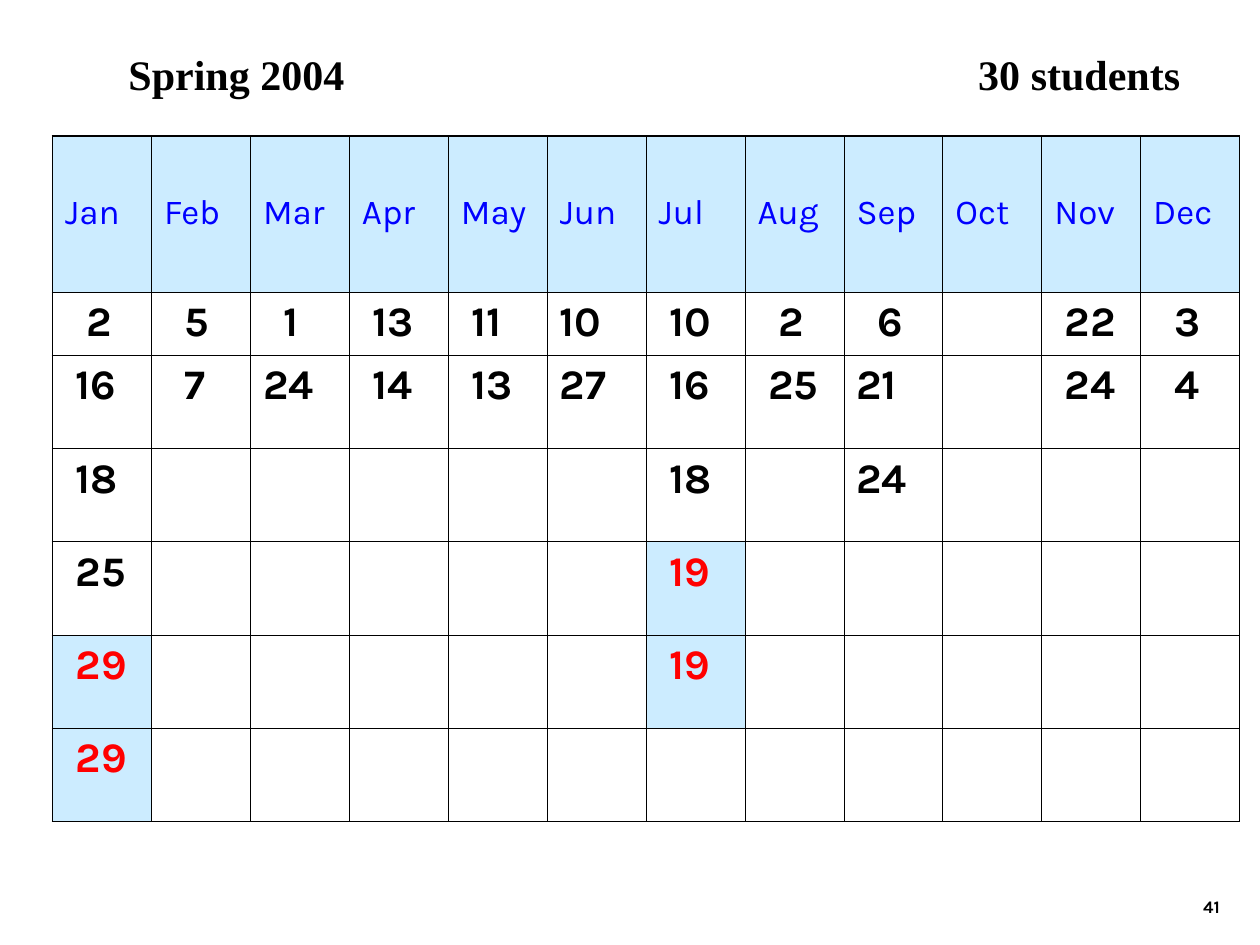
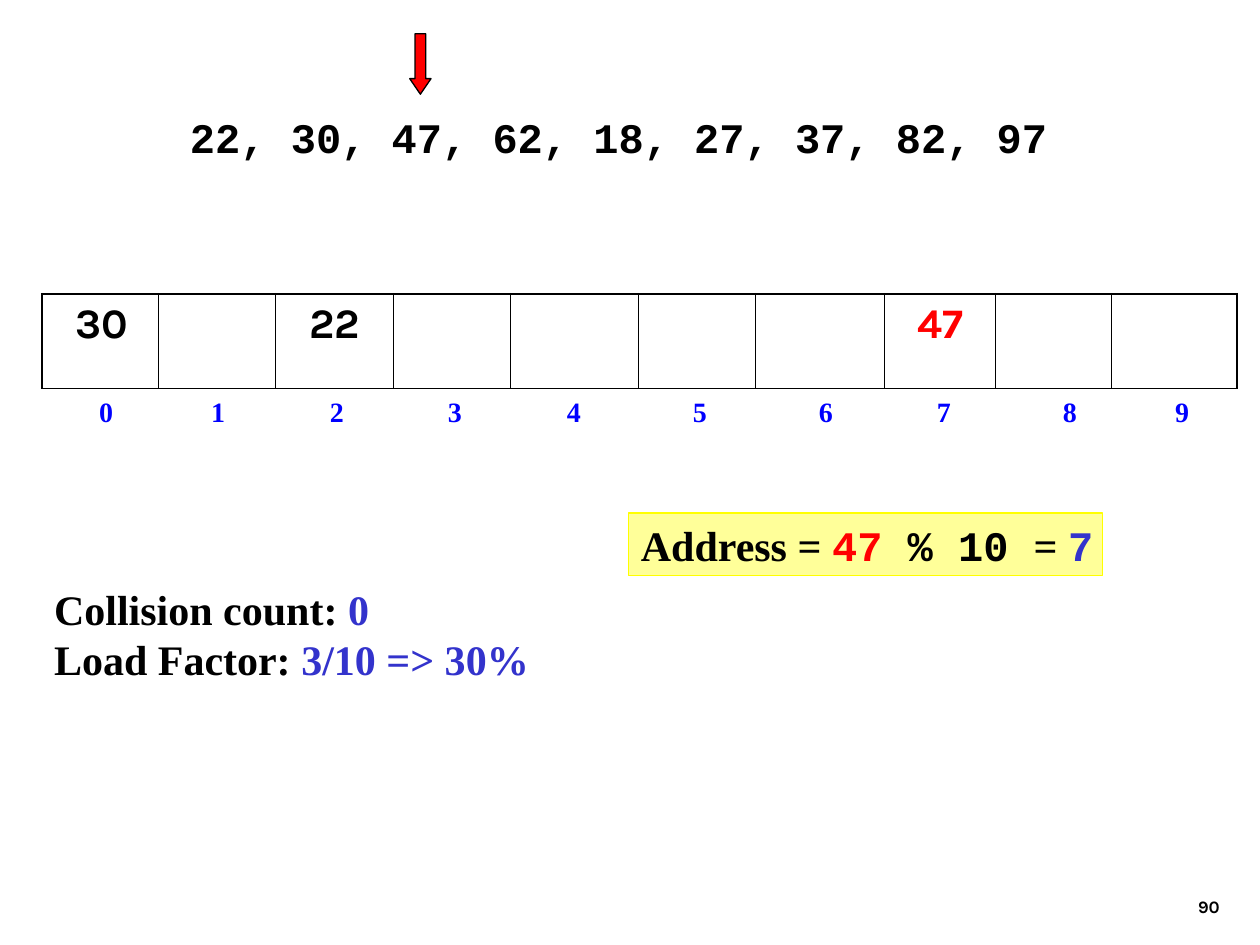
import pptx
import pptx.util
import pptx.dml.color
import pptx.enum.shapes
import pptx.enum.text
import pptx.oxml
import pptx.oxml.ns
from lxml import etree

Cm = pptx.util.Cm
Pt = pptx.util.Pt
RGB = pptx.dml.color.RGBColor
Align = pptx.enum.text.PP_ALIGN
Anchor = pptx.enum.text.MSO_ANCHOR
Shape = pptx.enum.shapes.MSO_SHAPE

BLACK = RGB(0, 0, 0)
WHITE = RGB(255, 255, 255)
RED = RGB(255, 0, 0)
BLUE = RGB(0, 0, 255)
INDIGO = RGB(0x33, 0x33, 0xCC)
SKY = RGB(0xCC, 0xEC, 0xFF)
CREAM = RGB(0xFF, 0xFF, 0x99)
YELLOW = RGB(255, 255, 0)

SANS = "Karla"
SERIF = "Times New Roman"
MONO = "Courier New"

THIN = 0.45
THICK = 1.08
SPACE = 0.21

MONTHS = "Jan Feb Mar Apr May Jun Jul Aug Sep Oct Nov Dec".split()
DAYS = [
    [2, 16, 18, 25, 29, 29], [5, 7], [1, 24], [13, 14], [11, 13], [10, 27],
    [10, 16, 18, 19, 19], [2, 25], [6, 21, 24], [], [22, 24], [3, 4],
]
SHARED = {(0, 29), (6, 19)}


def write(para, text, font=SERIF, size=24, color=BLACK, bold=True):
    run = para.add_run()
    run.text = text
    run.font.name = font
    run.font.size = Pt(size)
    run.font.color.rgb = color
    run.font.bold = bold


def indent(para, left):
    para._p.get_or_add_pPr().set("marL", str(Cm(left)))


def stops(para, places, align):
    props = para._p.get_or_add_pPr()
    tabs = etree.SubElement(props, pptx.oxml.ns.qn("a:tabLst"))
    for place in places:
        tab = etree.SubElement(tabs, pptx.oxml.ns.qn("a:tab"))
        tab.set("pos", str(Cm(place)))
        tab.set("algn", align)


def setup(frame, wrap=True, anchor=Anchor.TOP):
    frame.word_wrap = wrap
    frame.auto_size = pptx.enum.text.MSO_AUTO_SIZE.NONE
    frame.vertical_anchor = anchor
    frame.margin_left = frame.margin_right = Cm(0.25)
    frame.margin_top = frame.margin_bottom = Cm(0.13)
    para = frame.paragraphs[0]
    para.alignment = Align.LEFT
    return para


def label(slide, box, **style):
    return setup(slide.shapes.add_textbox(*map(Cm, box)).text_frame, **style)


def title(slide, box):
    head = slide.shapes.title
    head.left, head.top, head.width, head.height = map(Cm, box)
    return setup(head.text_frame)


def number(slide, text):
    para = label(slide, (19.56, 17.35, 5.28, 1.27), anchor=Anchor.BOTTOM)
    para.alignment = Align.RIGHT
    write(para, text, font=SANS, size=10)


def shape(slide, kind, box, fill, line):
    item = slide.shapes.add_shape(kind, *map(Cm, box))
    item.shadow.inherit = False
    item.fill.solid()
    item.fill.fore_color.rgb = fill
    item.line.color.rgb = line
    item.line.width = Pt(0.75)
    return item


def border(cell, outer):
    props = cell._tc.get_or_add_tcPr()
    for side in "LRTB":
        width = Pt(THICK if side in outer else THIN)
        props.append(pptx.oxml.parse_xml(
            f'<a:ln{side} {pptx.oxml.ns.nsdecls("a")} w="{width}"><a:solidFill>'
            f'<a:srgbClr val="{BLACK}"/></a:solidFill></a:ln{side}>'))


def paint(cell, color):
    cell.fill.solid()
    cell.fill.fore_color.rgb = color


def grid(slide, left, top, cols, rows):
    frame = slide.shapes.add_table(len(rows), len(cols), Cm(left), Cm(top),
                                   Cm(sum(cols)), Cm(sum(rows)))
    table = frame.table
    table.first_row = table.horz_banding = False
    for col, width in zip(table.columns, cols):
        col.width = Cm(width)
    for row, height in zip(table.rows, rows):
        row.height = Cm(height)
    for r in range(len(rows)):
        for c in range(len(cols)):
            outer = {"L": c == 0, "R": c == len(cols) - 1,
                     "T": r == 0, "B": r == len(rows) - 1}
            cell = table.cell(r, c)
            border(cell, [side for side, edge in outer.items() if edge])
            paint(cell, WHITE)
    return table


def calendar(slide, left, top, width):
    cols = [width / len(MONTHS)] * len(MONTHS)
    table = grid(slide, left, top, cols, [3.15, 1.27] + [1.88] * 5)
    for c, (month, days) in enumerate(zip(MONTHS, DAYS)):
        head = table.cell(0, c)
        head.margin_top = Cm(1.13)
        paint(head, SKY)
        write(head.text_frame.paragraphs[0], month, font=SANS, size=20,
              color=BLUE, bold=False)
        for r, day in enumerate(days, 1):
            cell = table.cell(r, c)
            para = cell.text_frame.paragraphs[0]
            wide = 0 if c % 3 == 2 else 1
            indent(para, SPACE * (2 if day < 10 else wide))
            shared = (c, day) in SHARED
            if shared:
                paint(cell, SKY)
            write(para, str(day), font=SANS, color=RED if shared else BLACK)


def buckets(slide, left, top):
    cols = [2.36] * 4 + [2.59, 2.36, 2.59, 2.24, 2.34, 2.54]
    table = grid(slide, left, top, cols, [1.91])
    for c, key, color in [(0, "30", BLACK), (2, "22", BLACK), (7, "47", RED)]:
        para = table.cell(0, c).text_frame.paragraphs[0]
        indent(para, 2 * SPACE)
        write(para, key, font=SANS, color=color)
    para = label(slide, (left - 0.2, top + 1.9, 24.33, 1.63))
    stops(para, [1.25, 3.51, 5.9, 8.28, 10.68, 13.22, 15.76, 18.14, 20.68, 22.94],
          "ctr")
    write(para, "".join(f"\t{i}" for i in range(len(cols))), size=16, color=BLUE)


def stats(slide, box):
    para = label(slide, box, wrap=False)
    write(para, "Collision count: ")
    write(para, "0", color=INDIGO)
    para = slide.shapes[-1].text_frame.add_paragraph()
    para.alignment = Align.LEFT
    write(para, "Load Factor: ")
    write(para, "3/10 => 30%", color=INDIGO)


def address(slide, box):
    note = shape(slide, Shape.RECTANGLE, box, CREAM, YELLOW)
    para = setup(note.text_frame, wrap=False)
    write(para, "Address = ")
    write(para, "47", font=MONO, color=RED)
    write(para, " % 10 ", font=MONO)
    write(para, "= ")
    write(para, "7", font=MONO, color=INDIGO)


def birthdays(slide):
    para = title(slide, (2.34, 0.84, 21.79, 1.27))
    stops(para, [21.2], "r")
    write(para, "Spring 2004\t30 students")
    calendar(slide, 1.06, 2.74, 23.93)
    number(slide, "41")


def hashing(slide):
    write(title(slide, (3.58, 2.11, 17.78, 1.27)),
          "22, 30, 47, 62, 18, 27, 37, 82, 97", font=MONO)
    arrow = shape(slide, Shape.DOWN_ARROW, (8.26, 0.68, 0.43, 1.22), RED, BLACK)
    arrow.adjustments[0] = 0.5
    arrow.adjustments[1] = 0.73
    buckets(slide, 0.84, 5.92)
    stats(slide, (0.84, 11.63, 10.08, 2.29))
    address(slide, (12.67, 10.34, 9.55, 1.27))
    number(slide, "90")


def main():
    deck = pptx.Presentation()
    deck.slide_width, deck.slide_height = Cm(25.4), Cm(19.05)
    for build in (birthdays, hashing):
        build(deck.slides.add_slide(deck.slide_layouts[5]))
    deck.save("out.pptx")


if __name__ == "__main__":
    main()
